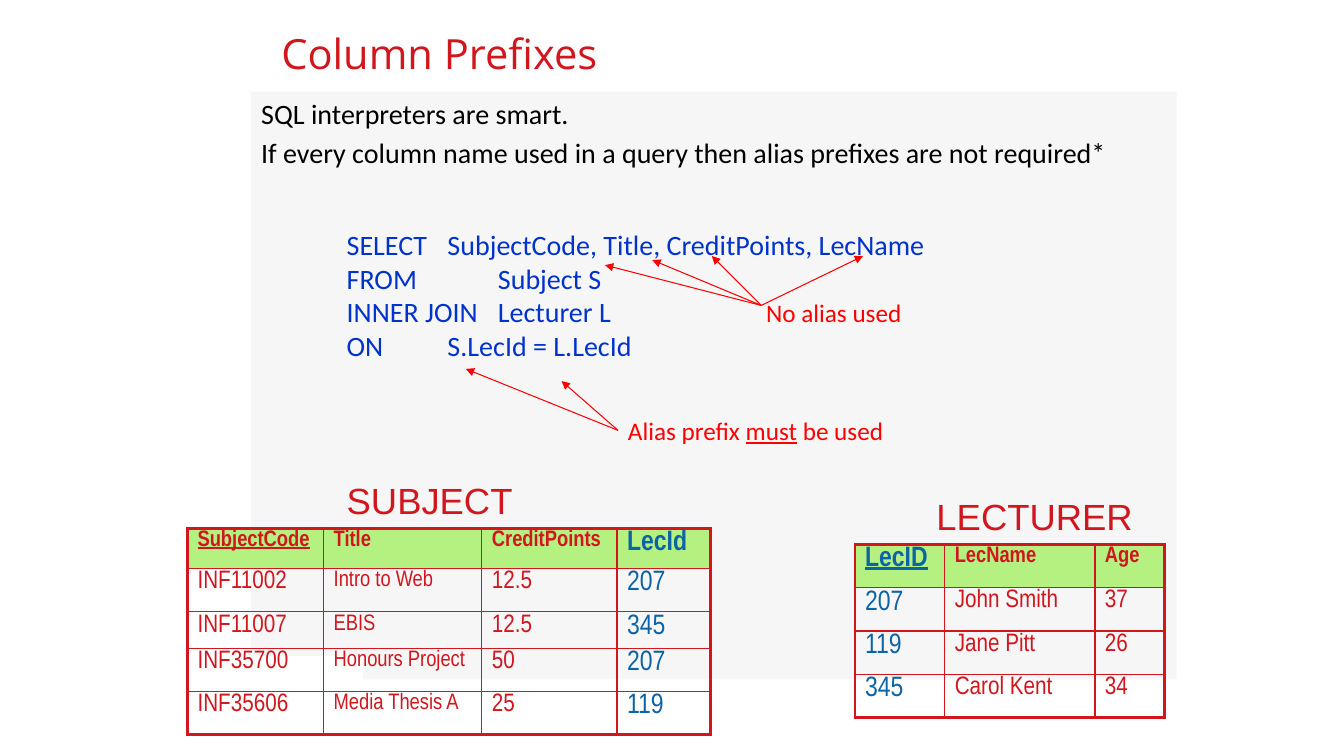
from pptx import Presentation
from pptx import util as u
from pptx.dml.color import RGBColor
from pptx.enum import shapes, text
from pptx.oxml import parse_xml
from pptx.oxml.ns import nsdecls

# The slide is a grid of 133.3 columns by 75 rows of square cells
COLS, ROWS, CELL = 133.3, 75, u.Inches(0.1)
COLORS = {"red": "D1161E", "blue": "0C64A7", "code": "0033CC", "note": "FF0000",
          "header": "B4F180", "panel": "F6F6F6", "white": "FFFFFF", "black": "000000"}


def grid(*cells):
    return [u.Emu(round(c * CELL)) for c in cells]


def rgb(name):
    return RGBColor.from_string(COLORS[name])


def add_xml(parent, tag, attrs="", inner=""):
    parent.append(parse_xml(f"<a:{tag} {nsdecls('a')} {attrs}>{inner}</a:{tag}>"))


def add_run(p, words, size, font, color, bold=False, underline=False):
    r = p.add_run()
    r.text = words
    r.font.size, r.font.name, r.font.bold = u.Pt(size), font, bold
    r.font.underline = underline
    r.font.color.rgb = rgb(color)


def next_paragraph(tf, i):
    return tf.add_paragraph() if i else tf.paragraphs[0]


def add_text_box(slide, box, wrap=False):
    tf = slide.shapes.add_textbox(*grid(*box)).text_frame
    tf.word_wrap = wrap
    return tf


def add_title(slide, box, words):
    sp = slide.shapes.title
    sp.left, sp.top, sp.width, sp.height = grid(*box)
    tf = sp.text_frame
    tf.vertical_anchor = text.MSO_ANCHOR.MIDDLE
    tf.auto_size = text.MSO_AUTO_SIZE.NONE
    p = tf.paragraphs[0]
    p.alignment = text.PP_ALIGN.LEFT
    add_run(p, words, 29.7, "Open Sans", "red")


def add_body(slide, box, lines):
    sp = slide.placeholders[1]
    sp.left, sp.top, sp.width, sp.height = grid(*box)
    sp.fill.solid()
    sp.fill.fore_color.rgb = rgb("panel")
    tf = sp.text_frame
    tf.auto_size = text.MSO_AUTO_SIZE.NONE
    for i, line in enumerate(lines):
        p = next_paragraph(tf, i)
        pPr = p._p.get_or_add_pPr()
        pPr.set("marL", "0")
        pPr.set("indent", "0")
        add_xml(pPr, "buNone")
        p.space_before = u.Pt(4 if i else 0)
        add_run(p, line, 20, "Calibri", "black")


def add_white_block(slide, box):
    sp = slide.shapes.add_shape(shapes.MSO_SHAPE.RECTANGLE, *grid(*box))
    sp.shadow.inherit = False
    sp.fill.solid()
    sp.fill.fore_color.rgb = rgb("white")
    sp.line.fill.background()


def add_borders(cell, outer_sides):
    for side in "LRTB":
        width = u.Pt(2.25 if side in outer_sides else 1)
        add_xml(cell._tc.get_or_add_tcPr(), f"ln{side}", f'w="{width}"',
                f'<a:solidFill><a:srgbClr val="{COLORS["red"]}"/></a:solidFill>')


def add_relation(slide, left, top, label, label_col, widths, heights, rows, primary):
    # Table, with its name above it
    box = grid(left, top, sum(widths), sum(heights))
    table = slide.shapes.add_table(len(rows), len(widths), *box).table
    table.first_row = table.horz_banding = False
    for column, width in zip(table.columns, grid(*widths)):
        column.width = width
    for row, height in zip(table.rows, grid(*heights)):
        row.height = height
    for i, row in enumerate(rows):
        for j, words in enumerate(row):
            cell = table.cell(i, j)
            cell.margin_top = cell.margin_bottom = u.Inches(0.02)
            edges = {"L": j == 0, "R": j == len(row) - 1,
                     "T": i == 0, "B": i == len(rows) - 1}
            add_borders(cell, [side for side, outer in edges.items() if outer])
            if i == 0:
                cell.fill.solid()
                cell.fill.fore_color.rgb = rgb("header")
            else:
                cell.fill.background()
            heading = rows[0][j]
            joins = heading.upper() == "LECID"
            size = 20 if joins else 16 if i == 0 or heading == "Title" else 18
            p = cell.text_frame.paragraphs[0]
            pPr = p._p.get_or_add_pPr()
            pPr.set("marL", str(u.Inches(0.29)))
            pPr.set("indent", str(-u.Inches(0.29)))
            add_run(p, words, size, "Arial Narrow", "blue" if joins else "red",
                    bold=i == 0, underline=words == primary)
    label_width = 18.9 if label == "SUBJECT" else 21.7
    tf = add_text_box(slide, (left + label_col, top - 5.5, label_width, 5.3))
    add_run(tf.paragraphs[0], label, 26, "Arial", "red")


def add_callout(slide, box, runs, start, targets):
    # Note, with arrows from it to the words it is about
    tf = add_text_box(slide, box)
    for words, underline in runs:
        add_run(tf.paragraphs[0], words, 18, "Calibri", "note", underline=underline)
    left, top = box[:2]
    for dx, dy in targets:
        ends = grid(left + start[0], top + start[1], left + dx, top + dy)
        line = slide.shapes.add_connector(shapes.MSO_CONNECTOR.STRAIGHT, *ends)
        line.line.color.rgb = rgb("note")
        line.line.width = u.Pt(0.75)
        add_xml(line.line._get_or_add_ln(), "tailEnd", 'type="triangle"')
        add_xml(line._element.spPr, "effectLst")


def add_query(slide, box, lines):
    tf = add_text_box(slide, box, wrap=True)
    stops = "".join(f'<a:tab pos="{u.Inches(n / 2)}" algn="l"/>' for n in (1, 2, 3))
    for i, line in enumerate(lines):
        p = next_paragraph(tf, i)
        add_xml(p._p.get_or_add_pPr(), "tabLst", inner=stops)
        add_run(p, line, 20, "Calibri", "code")
    left, top = box[:2]
    add_callout(slide, (left + 41.6, top + 6.9, 15.6, 4), [("No alias used", False)],
                (0.5, 1.3), [(-15, -2.7), (-10.3, -3.2), (-4.4, -3.6), (10.6, -3.6)])
    add_callout(slide, (left + 27.9, top + 18.6, 27.6, 4),
                [("Alias prefix ", False), ("must", True), (" be used", False)],
                (0, 2), [(-15.1, -4.1), (-5.6, -2.9)])


def main():
    prs = Presentation()
    prs.slide_width, prs.slide_height = grid(COLS, ROWS)
    slide = prs.slides.add_slide(prs.slide_layouts[1])

    # Heading and statement
    add_title(slide, (26.9, 2.1, 89.8, 6.3), "Column Prefixes")
    add_body(slide, (24.9, 9.1, 91.8, 58.3), [
        "SQL interpreters are smart.",
        "If every column name used in a query then alias prefixes are not required*"])
    add_white_block(slide, (16.7, 65.1, 19.3, 9.9))

    # Tables
    add_relation(slide, 18.6, 52.4, "SUBJECT", 14.8,
                 [13.5, 15.7, 13.4, 9.3], [4, 4.3, 3.6, 4.3, 4.3], [
                     ["SubjectCode", "Title", "CreditPoints", "LecId"],
                     ["INF11002", "Intro to Web", "12.5", "207"],
                     ["INF11007", "EBIS", "12.5", "345"],
                     ["INF35700", "Honours Project", "50", "207"],
                     ["INF35606", "Media Thesis A", "25", "119"]], "SubjectCode")
    add_relation(slide, 84.8, 54, "LECTURER", 7.1, [8.9, 14.9, 6.9], [4.3] * 4, [
        ["LecID", "LecName", "Age"],
        ["207", "John Smith", "37"],
        ["119", "Jane Pitt", "26"],
        ["345", "Carol Kent", "34"]], "LecID")

    # Query with its notes
    add_query(slide, (33.4, 22.1, 91.3, 14.5), [
        "SELECT\tSubjectCode, Title, CreditPoints, LecName",
        "FROM\t\tSubject S",
        "INNER JOIN\tLecturer L",
        "ON\t\tS.LecId = L.LecId"])
    prs.save("out.pptx")


if __name__ == "__main__":
    main()
